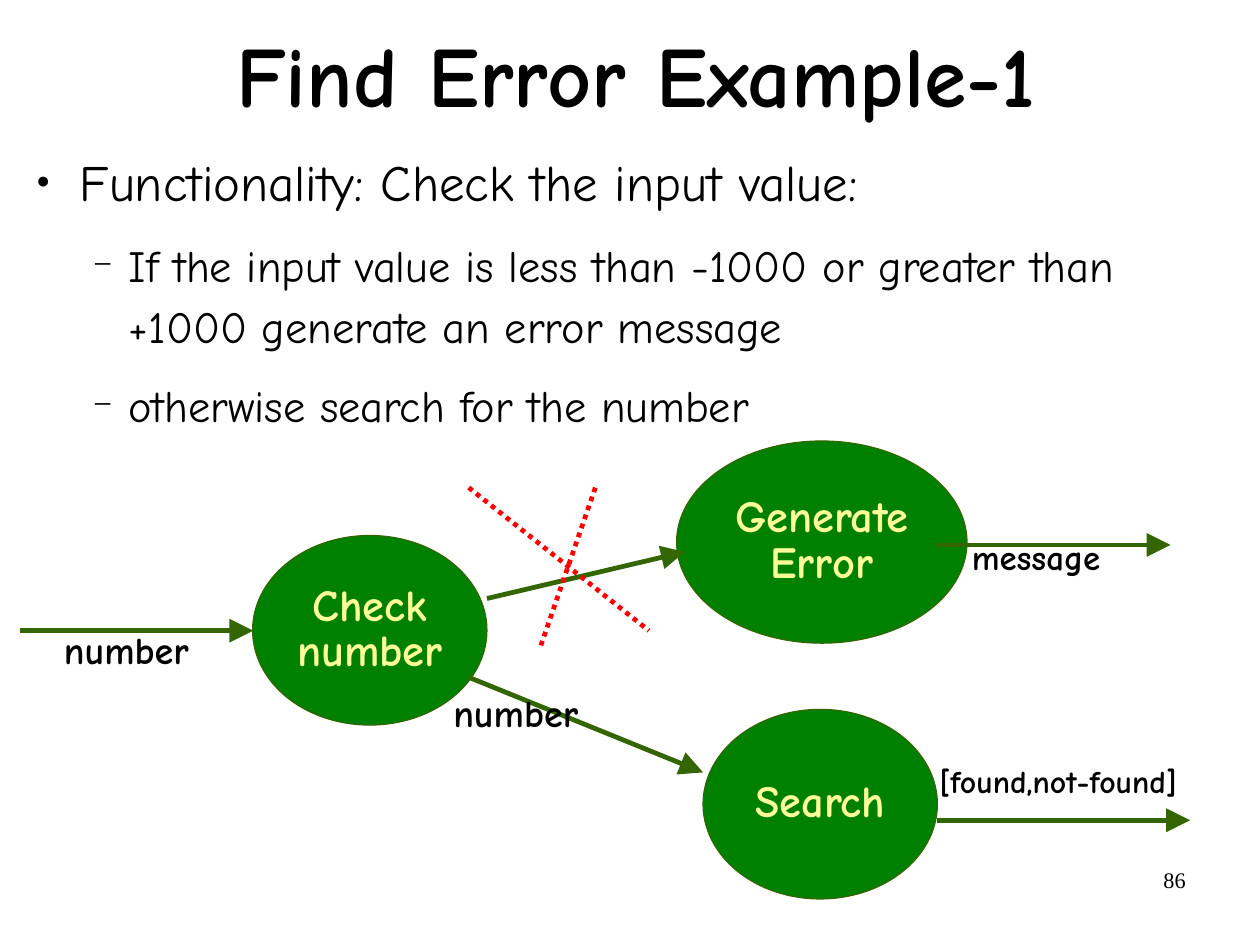
from dataclasses import dataclass

from lxml.etree import SubElement
from pptx import Presentation
from pptx.dml.color import RGBColor
from pptx.enum.dml import MSO_LINE
from pptx.enum.shapes import MSO_CONNECTOR, MSO_SHAPE
from pptx.enum.text import MSO_ANCHOR, PP_ALIGN
from pptx.oxml.ns import qn
from pptx.util import Cm, Inches, Pt


@dataclass(frozen=True)
class Theme:
    font: str = "Comic Neue"
    number_font: str = "Times New Roman"
    ink: str = "000000"
    bubble: str = "008000"
    flow: str = "336600"
    bubble_text: str = "FFFF99"
    cross: str = "FF0000"
    title: int = 54
    body: int = 32
    sub: int = 28
    page: int = 14
    outline: float = 0.75
    stroke: int = 3


THEME = Theme()
WIDTH, HEIGHT = Cm(28), Cm(21)
COLS, ROWS = 100, 75


@dataclass(frozen=True)
class Box:
    col: float
    row: float
    cols: float
    rows: float

    def point(self, col, row):
        return (round((self.col + col) * WIDTH / COLS),
                round((self.row + row) * HEIGHT / ROWS))

    def inner(self, col, row, cols, rows):
        return Box(self.col + col, self.row + row, cols, rows)

    def frame(self):
        return (*self.point(0, 0),
                round(self.cols * WIDTH / COLS), round(self.rows * HEIGHT / ROWS))


def set_frame(tf, anchor=MSO_ANCHOR.TOP, side=0.02, edge=0.06):
    tf.word_wrap = True
    tf.vertical_anchor = anchor
    tf.margin_left = tf.margin_right = Inches(side)
    tf.margin_top = tf.margin_bottom = Inches(edge)
    return tf


def write(p, text, size, color=THEME.ink, bold=False, font=THEME.font):
    for i, line in enumerate(text.split("\n")):
        if i:
            p.add_line_break()
        r = p.add_run()
        r.text = line
        r.font.size = Pt(size)
        r.font.name = font
        r.font.bold = bold
        r.font.color.rgb = RGBColor.from_string(color)


def add_text(slide, box, text, size, align=PP_ALIGN.LEFT, spacing=0.85,
             anchor=MSO_ANCHOR.TOP):
    tf = set_frame(slide.shapes.add_textbox(*box.frame()).text_frame, anchor)
    p = tf.paragraphs[0]
    p.alignment = align
    p.line_spacing = spacing
    write(p, text, size, bold=True)


def add_bullet(p, char, percent, left, hang):
    pPr = p._p.get_or_add_pPr()
    pPr.set("marL", str(Inches(left)))
    pPr.set("indent", str(-Inches(hang)))
    color = SubElement(pPr, qn("a:buClr"))
    SubElement(color, qn("a:srgbClr"), val=THEME.ink)
    SubElement(pPr, qn("a:buSzPct"), val=str(percent * 1000))
    SubElement(pPr, qn("a:buFont"), typeface=THEME.number_font)
    SubElement(pPr, qn("a:buChar"), char=char)


def add_title(slide, box):
    add_text(slide, box, "Find Error Example-1", THEME.title,
             PP_ALIGN.CENTER, 0.94, MSO_ANCHOR.MIDDLE)


def add_body(slide, box):
    tf = set_frame(slide.shapes.add_textbox(*box.frame()).text_frame)
    items = [
        (0, "Functionality: Check the input value:"),
        (1, "If the input value is less than -1000 or greater than "
            "+1000 generate an error message"),
        (1, "otherwise search for the number"),
    ]
    for i, (level, text) in enumerate(items):
        p = tf.add_paragraph() if i else tf.paragraphs[0]
        p.level = level
        if level:
            add_bullet(p, "−", 75, 0.81, 0.31)
        else:
            add_bullet(p, "●", 45, 0.38, 0.38)
        p.line_spacing = 1.15
        if i:
            p.space_before = Pt(5.5)
        p.space_after = Pt(5.2 if level else 6)
        write(p, text, THEME.sub if level else THEME.body)


def add_bubble(slide, box, text):
    sp = slide.shapes.add_shape(MSO_SHAPE.OVAL, *box.frame())
    sp.shadow.inherit = False
    sp.fill.solid()
    sp.fill.fore_color.rgb = RGBColor.from_string(THEME.bubble)
    sp.line.color.rgb = RGBColor.from_string(THEME.flow)
    sp.line.width = Pt(THEME.outline)
    p = set_frame(sp.text_frame, MSO_ANCHOR.MIDDLE).paragraphs[0]
    p.alignment = PP_ALIGN.CENTER
    p.line_spacing = 0.85
    write(p, text, THEME.sub, THEME.bubble_text, True)


def add_line(slide, box, start, end, color):
    line = slide.shapes.add_connector(
        MSO_CONNECTOR.STRAIGHT, *box.point(*start), *box.point(*end))
    line.line.color.rgb = RGBColor.from_string(color)
    line.line.width = Pt(THEME.stroke)
    SubElement(line._element.spPr, qn("a:effectLst"))
    return line


def add_arrow(slide, box, start, end):
    line = add_line(slide, box, start, end, THEME.flow)
    SubElement(line.line._get_or_add_ln(), qn("a:tailEnd"),
               type="triangle", w="lg", len="lg")


def add_diagram(slide, box):
    small = (18.6, 15.05)
    add_bubble(slide, box.inner(20.05, 7.55, *small), "Check\nnumber")
    add_bubble(slide, box.inner(53.7, 0.05, 23.05, 16.05), "Generate\nError")
    add_bubble(slide, box.inner(55.8, 21.35, *small), "Search")
    for start, end in [
        ((1.55, 15.1), (20.1, 15.1)),
        ((38.65, 12.55), (54.35, 8.85)),
        ((37.2, 18.8), (55.8, 26.35)),
        ((74.3, 8.3), (92.9, 8.3)),
        ((74.4, 30.15), (94.45, 30.15)),
    ]:
        add_arrow(slide, box, start, end)
    for start, end in [((37.2, 3.75), (51.5, 15.1)), ((47.25, 3.75), (42.9, 16.35))]:
        line = add_line(slide, box, start, end, THEME.cross)
        line.line.dash_style = MSO_LINE.ROUND_DOT
    for col, row, text, size in [
        (4.9, 14.8, "number", 24),
        (76.95, 7.55, "message", 22),
        (35.8, 19.8, "number", 24),
        (74.4, 25.4, "[found,not-found]", 20),
    ]:
        add_text(slide, box.inner(col, row, 21.4, 6.5), text, size)


def add_page_number(slide, box):
    tf = set_frame(slide.shapes.add_textbox(*box.frame()).text_frame,
                   side=0.1, edge=0.05)
    p = tf.paragraphs[0]
    p.alignment = PP_ALIGN.RIGHT
    write(p, "86", THEME.page, font=THEME.number_font)


def main():
    prs = Presentation()
    prs.slide_width = WIDTH
    prs.slide_height = HEIGHT
    slide = prs.slides.add_slide(prs.slide_layouts[6])
    add_page_number(slide, Box(71.7, 68.3, 23.3, 5.2))
    add_title(slide, Box(7.8, 0, 85.3, 12.4))
    add_body(slide, Box(2.7, 10.7, 95.5, 48.7))
    add_diagram(slide, Box(0, 34.95, COLS, 36.4))
    prs.save("out.pptx")


if __name__ == "__main__":
    main()
